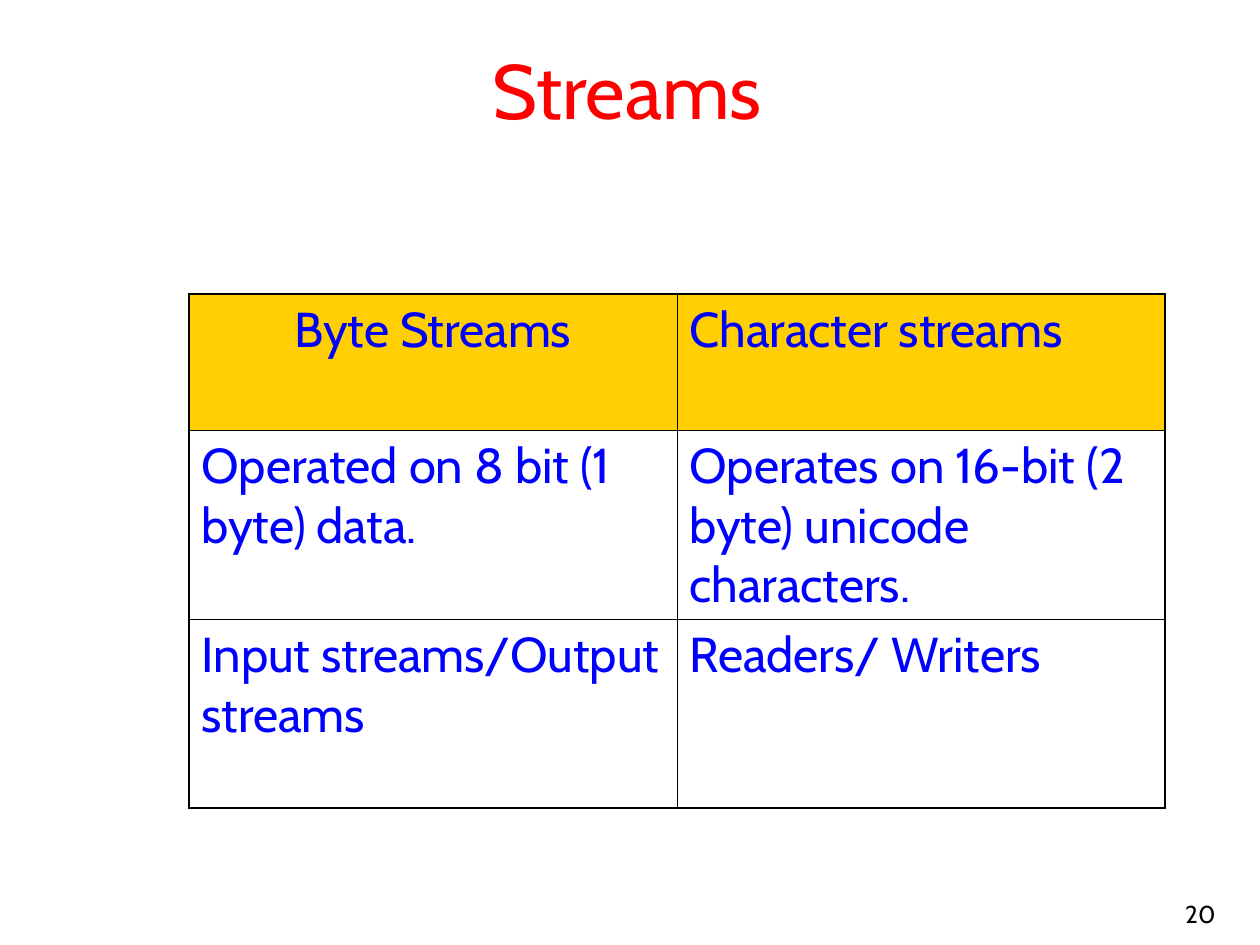
from dataclasses import dataclass

from lxml.etree import SubElement as Sub
from pptx import Presentation
from pptx.dml.color import RGBColor as RGB
from pptx.enum.text import MSO_ANCHOR as Anchor, PP_ALIGN as Align
from pptx.oxml.ns import qn
from pptx.util import Emu, Pt


@dataclass(frozen=True)
class Theme:
    face: str = "Cabin"
    white: str = "FFFFFF"
    black: str = "000000"
    red: str = "FF0000"
    blue: str = "0000FF"
    gold: str = "FFCF01"
    head: int = 44
    body: int = 28
    note: int = 14
    thick: float = 1.08
    thin: float = 0.45


THEME = Theme()
ROWS = [
    ("Byte Streams", "Character streams"),
    ("Operated on 8 bit (1 byte) data.",
     "Operates on 16-bit (2 byte) unicode characters."),
    ("Input streams/Output streams", "Readers/ Writers"),
]
COLS = (488, 488)
HEIGHTS = (136, 189, 189)


def px(num):
    return Emu(round(num * 914400 / 126))


def write(frame, text, size, color, align=Align.LEFT):
    frame.word_wrap = True
    frame.text = text
    para = frame.paragraphs[0]
    para.alignment = align
    for run in para.runs:
        run.font.name = THEME.face
        run.font.size = Pt(size)
        run.font.bold = False
        run.font.color.rgb = RGB.from_string(color)


def add_title(slide, text, *box):
    title = slide.shapes.title
    title.left, title.top, title.width, title.height = map(px, box)
    title.fill.solid()
    title.fill.fore_color.rgb = RGB.from_string(THEME.white)
    title.text_frame.vertical_anchor = Anchor.MIDDLE
    write(title.text_frame, text, THEME.head, THEME.red, Align.CENTER)


def add_border(cell, side, width):
    """Draw one side (L, R, T or B); call before the cell is filled."""
    props = cell._tc.get_or_add_tcPr()
    line = Sub(props, qn(f"a:ln{side}"), w=str(Pt(width)))
    fill = Sub(line, qn("a:solidFill"))
    Sub(fill, qn("a:srgbClr"), val=THEME.black)


def add_grid(slide, left, top):
    shape = slide.shapes.add_table(
        len(HEIGHTS), len(COLS), px(left), px(top),
        px(sum(COLS)), px(sum(HEIGHTS)))
    table = shape.table
    table.first_row = table.horz_banding = False
    for col, width in zip(table.columns, COLS):
        col.width = px(width)
    for row, height in zip(table.rows, HEIGHTS):
        row.height = px(height)
    for r, texts in enumerate(ROWS):
        for c, text in enumerate(texts):
            cell = table.cell(r, c)
            outer = {"L": c == 0, "R": c == len(COLS) - 1,
                     "T": r == 0, "B": r == len(ROWS) - 1}
            for side, edge in outer.items():
                add_border(cell, side, THEME.thick if edge else THEME.thin)
            if r == 0:
                cell.fill.solid()
                cell.fill.fore_color.rgb = RGB.from_string(THEME.gold)
            else:
                cell.fill.background()
            align = Align.CENTER if r == c == 0 else Align.LEFT
            write(cell.text_frame, text, THEME.body, THEME.blue, align)


def add_number(slide, text, *box):
    frame = slide.shapes.add_textbox(*map(px, box)).text_frame
    frame.vertical_anchor = Anchor.BOTTOM
    write(frame, text, THEME.note, THEME.black, Align.RIGHT)


def main():
    deck = Presentation()
    deck.slide_width, deck.slide_height = px(1260), px(945)
    slide = deck.slides.add_slide(deck.slide_layouts[5])
    add_number(slide, "20", 966, 872, 262, 63)
    add_title(slide, "Streams", 21, 21, 1212, 136)
    add_grid(slide, 189, 294)
    deck.save("out.pptx")


if __name__ == "__main__":
    main()
